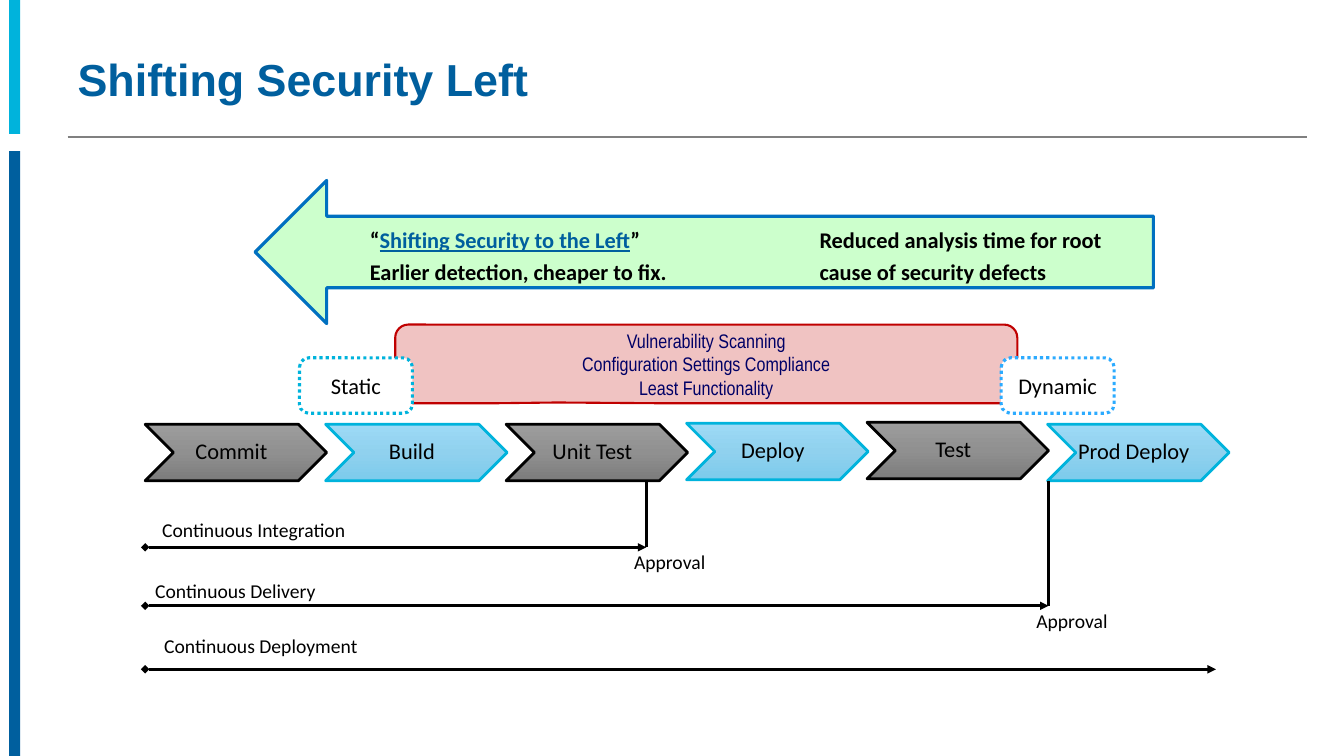
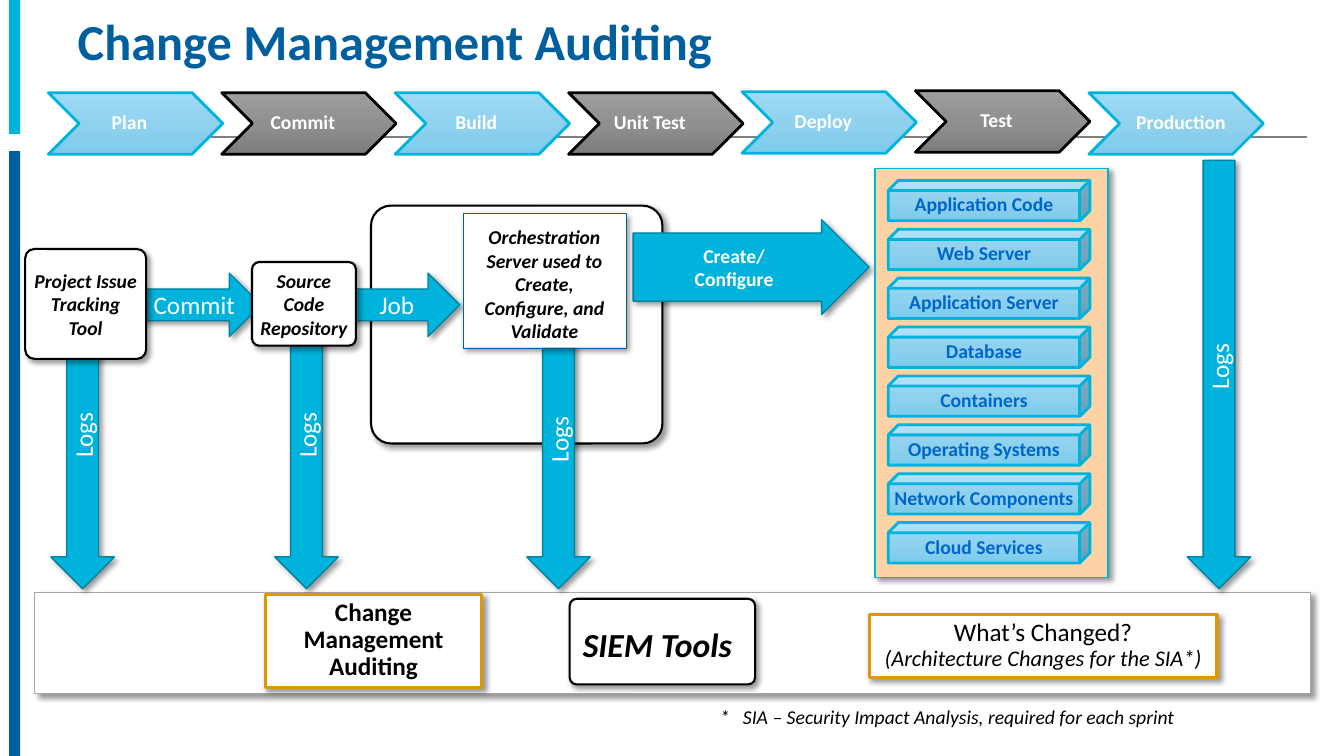
import copy
from dataclasses import dataclass, replace
from typing import Optional

from lxml import etree
import pptx
import pptx.dml.color
import pptx.enum.dml
import pptx.enum.shapes
import pptx.enum.text
import pptx.oxml.ns
import pptx.shapes.autoshape
import pptx.shapes.connector
import pptx.slide
import pptx.text.text
import pptx.util

Inches = pptx.util.Inches
qn = pptx.oxml.ns.qn
Kind = pptx.enum.shapes.MSO_SHAPE
Align = pptx.enum.text.PP_ALIGN
Anchor = pptx.enum.text.MSO_ANCHOR
Bounds = tuple[float, float, float, float]


# Theme
@dataclass(frozen=True)
class Theme:
    cyan: str = "00B3DC"
    cyan_edge: str = "0084A3"
    navy: str = "005F9E"
    black: str = "000000"
    white: str = "FFFFFF"
    rule: str = "808080"
    gold: str = "E29700"
    component: str = "0066CC"
    scan_text: str = "000066"
    grey_fade: tuple[str, ...] = ("9D9D9D", "909090", "7C7C7C")
    blue_fade: tuple[str, ...] = ("9DDAF6", "90D1EE", "7CCBEC")
    small: int = 14
    medium: int = 16
    large: int = 18
    siem: int = 24
    title: int = 32
    title_large: int = 36
    body_font: str = "Calibri"
    title_font: str = "Arial"
    narrow_font: str = "Arial Narrow"


THEME = Theme()


@dataclass(frozen=True)
class Look:
    fill: str | tuple[str, ...]
    line: Optional[str] = None
    width: float = 1
    shadow: bool = False
    dotted: bool = False
    adjustments: tuple[float, ...] = ()


@dataclass(frozen=True)
class TextStyle:
    size: int = THEME.small
    color: str = THEME.black
    bold: bool = False
    italic: bool = False
    underline: bool = False
    font: str = THEME.body_font
    align: Align = Align.CENTER
    anchor: Anchor = Anchor.MIDDLE
    insets: Bounds = (0.1, 0.05, 0.1, 0.05)
    spacing: float = 1


@dataclass(frozen=True)
class Track:
    label: str
    level: float
    end: float
    label_left: float
    label_top: float
    approval: bool


@dataclass(frozen=True)
class Block:
    text: str
    kind: Kind
    at: Bounds
    look: Look
    style: TextStyle


GREY_STEP = Look(THEME.grey_fade, THEME.black, 2)
BLUE_STEP = Look(THEME.blue_fade, THEME.cyan, 2)
FLOW = Look(THEME.cyan, THEME.cyan_edge, shadow=True)
TOOL = Look(THEME.white, THEME.black, 1.5, shadow=True, adjustments=(0.084,))
RESULT = Look(THEME.white, THEME.gold, 2.25, shadow=True)
CAPTION = TextStyle(align=Align.LEFT, anchor=Anchor.TOP)
FLOW_TEXT = TextStyle(THEME.large, THEME.white)
TOOL_TEXT = TextStyle(bold=True, italic=True, insets=(0.05, 0, 0.05, 0))
RESULT_TEXT = TextStyle(THEME.large, anchor=Anchor.TOP, spacing=0.9)

GREY_STAGES = {"Commit", "Unit Test", "Test"}
STAGE_LIFT = {"Deploy": 0.01, "Test": 0.02}


# Drawing helpers
def rgb(value: str) -> pptx.dml.color.RGBColor:
    return pptx.dml.color.RGBColor.from_string(value)


def style_run(run: pptx.text.text._Run, style: TextStyle) -> None:
    run.font.name = style.font
    run.font.size = pptx.util.Pt(style.size)
    run.font.bold = style.bold
    run.font.italic = style.italic
    run.font.underline = style.underline
    run.font.color.rgb = rgb(style.color)


def write(frame: pptx.text.text.TextFrame, text: str, style: TextStyle) -> None:
    frame.text = text
    frame.word_wrap = True
    frame.vertical_anchor = style.anchor
    (frame.margin_left, frame.margin_top,
     frame.margin_right, frame.margin_bottom) = map(Inches, style.insets)
    for paragraph in frame.paragraphs:
        paragraph.alignment = style.align
        paragraph.line_spacing = style.spacing
        for run in paragraph.runs:
            style_run(run, style)


def fade(shape: pptx.shapes.autoshape.Shape, colors: tuple[str, ...]) -> None:
    shape.fill.gradient()
    shape.fill.gradient_angle = 270
    stops = shape.element.find(".//" + qn("a:gsLst"))
    stops.insert(1, copy.deepcopy(stops[0]))
    for stop, color, position in zip(shape.fill.gradient_stops, colors, (0, 0.5, 1)):
        stop.color.rgb = rgb(color)
        stop.position = position


def cast_shadow(shape: pptx.shapes.autoshape.Shape) -> None:
    effects = shape.element.find(".//" + qn("a:effectLst"))
    outer = etree.SubElement(effects, qn("a:outerShdw"), blurRad=str(pptx.util.Pt(4)),
                             dist=str(pptx.util.Pt(3)), dir="2700000", rotWithShape="0")
    tone = etree.SubElement(outer, qn("a:srgbClr"), val=THEME.black)
    etree.SubElement(tone, qn("a:alpha"), val="40000")


def add_block(slide: pptx.slide.Slide, kind: Kind, at: Bounds, look: Look,
              text: str = "", style: TextStyle = TextStyle()) -> pptx.shapes.autoshape.Shape:
    shape = slide.shapes.add_shape(kind, *map(Inches, at))
    for index, value in enumerate(look.adjustments):
        shape.adjustments[index] = value
    if isinstance(look.fill, tuple):
        fade(shape, look.fill)
    else:
        shape.fill.solid()
        shape.fill.fore_color.rgb = rgb(look.fill)
    if look.line:
        shape.line.color.rgb = rgb(look.line)
        shape.line.width = pptx.util.Pt(look.width)
        if look.dotted:
            shape.line.dash_style = pptx.enum.dml.MSO_LINE.ROUND_DOT
    else:
        shape.line.fill.background()
    shape.shadow.inherit = False
    if look.shadow:
        cast_shadow(shape)
    if text:
        write(shape.text_frame, text, style)
    return shape


def add_caption(slide: pptx.slide.Slide, at: Bounds, text: str,
                style: TextStyle = CAPTION) -> pptx.shapes.autoshape.Shape:
    caption = slide.shapes.add_textbox(*map(Inches, at))
    write(caption.text_frame, text, style)
    return caption


def add_line(slide: pptx.slide.Slide, start: tuple[float, float], end: tuple[float, float],
             color: str = THEME.black, width: float = 2,
             arrow: bool = False) -> pptx.shapes.connector.Connector:
    line = slide.shapes.add_connector(pptx.enum.shapes.MSO_CONNECTOR.STRAIGHT,
                                      *map(Inches, start + end))
    line.line.color.rgb = rgb(color)
    line.line.width = pptx.util.Pt(width)
    if arrow:
        outline = line.element.find(".//" + qn("a:ln"))
        etree.SubElement(outline, qn("a:headEnd"), type="diamond")
        etree.SubElement(outline, qn("a:tailEnd"), type="triangle")
    etree.SubElement(line.element.find(qn("p:spPr")), qn("a:effectLst"))
    return line


def add_stages(slide: pptx.slide.Slide, labels: list[str], left: float, step: float, top: float,
               size: tuple[float, float], style: TextStyle) -> None:
    for index, label in enumerate(labels):
        at = (left + index * step, top - STAGE_LIFT.get(label, 0), *size)
        look = GREY_STEP if label in GREY_STAGES else BLUE_STEP
        insets = (0.1, 0.1, 0, 0.1) if label == "Production" else style.insets
        add_block(slide, Kind.CHEVRON, at, look, label, replace(style, insets=insets))


# Shared frame: side bands and title rule live on the layout
def furnish_layout(layout: pptx.slide.SlideLayout, slide: pptx.slide.Slide) -> None:
    frame = [
        add_block(slide, Kind.RECTANGLE, (0.09, 0, 0.11, 1.33), Look(THEME.cyan)),
        add_block(slide, Kind.RECTANGLE, (0.09, 1.5, 0.11, 6), Look(THEME.navy)),
        add_line(slide, (0.67, 1.36), (12.96, 1.36), THEME.rule, 1),
    ]
    for part in frame:
        layout.shapes.element.append(part.element)


def set_title(slide: pptx.slide.Slide, text: str, top: float, size: int, font: str) -> None:
    title = slide.shapes.title
    title.left, title.top, title.width, title.height = map(Inches, (0.67, top, 12.29, 0.82))
    write(title.text_frame, text, TextStyle(size, THEME.navy, bold=True, font=font,
                                            align=Align.LEFT, spacing=0.9))


# Slide 1
def build_shift_left(slide: pptx.slide.Slide) -> None:
    set_title(slide, "Shifting Security Left", 0.4, THEME.title, THEME.title_font)
    add_block(slide, Kind.LEFT_ARROW, (2.53, 1.79, 8.91, 1.42), Look("CCFFCC", "0070C0", 2.25))
    add_block(slide, Kind.ROUNDED_RECTANGULAR_CALLOUT, (3.92, 3.22, 6.17, 0.78),
              Look("F0C3C2", "C00000", 1.5, adjustments=(-0.24, 0.491, 0.167)),
              "Vulnerability Scanning\nConfiguration Settings Compliance\nLeast Functionality",
              TextStyle(color=THEME.scan_text, font=THEME.narrow_font, insets=(0.07, 0, 0.07, 0)))
    add_stages(slide, ["Commit", "Build", "Unit Test", "Deploy", "Test", "Prod Deploy"],
               1.44, 1.79, 4.21, (1.8, 0.56),
               TextStyle(THEME.medium, insets=(0, 0.07, 0.09, 0.07), spacing=0.9))

    # Continuous practices and their approval gates
    for track in (
        Track("Continuous Integration", 5.43, 6.41, 1.51, 5.09, True),
        Track("Continuous Delivery", 6.01, 10.4, 1.44, 5.69, True),
        Track("Continuous Deployment", 6.64, 12.06, 1.53, 6.24, False),
    ):
        add_line(slide, (1.44, track.level), (track.end, track.level), arrow=True)
        add_caption(slide, (track.label_left, track.label_top, 2.5, 0.34), track.label)
        if track.approval:
            add_line(slide, (track.end, track.level), (track.end, 4.77))
            add_caption(slide, (track.end - 0.22, track.level - 0.02, 1.13, 0.34), "Approval")

    # Benefits inside the arrow
    benefit = replace(CAPTION, size=THEME.medium, bold=True, spacing=1.2)
    detection = add_caption(slide, (3.57, 2.14, 3.75, 0.73),
                            "“\nEarlier detection, cheaper to fix.", benefit)
    for words, style in (
        ("Shifting Security to the Left", replace(benefit, color=THEME.navy, underline=True)),
        ("”", benefit),
    ):
        run = detection.text_frame.paragraphs[0].add_run()
        run.text = words
        style_run(run, style)
    add_caption(slide, (8.03, 2.14, 3.4, 0.73),
                "Reduced analysis time for root cause of security defects", benefit)

    # Kinds of analysis
    for label, left, edge in (("Static", 2.97, THEME.cyan), ("Dynamic", 9.93, "2CABFF")):
        add_block(slide, Kind.ROUNDED_RECTANGLE, (left, 3.55, 1.12, 0.55),
                  Look(THEME.white, edge, 2.25, dotted=True), label, TextStyle(THEME.medium))


# Slide 2
def build_auditing(slide: pptx.slide.Slide) -> None:
    set_title(slide, "Change Management Auditing", 0.03, THEME.title_large, THEME.body_font)
    add_block(slide, Kind.ROUNDED_RECTANGLE, (3.68, 2.04, 2.89, 2.36), TOOL)
    add_block(slide, Kind.RECTANGLE, (0.34, 5.88, 12.66, 1),
              Look(THEME.white, "A6A6A6", 0.75, shadow=True))

    # Log flows down to the audit band
    thickness, bottom = 0.63, 5.84
    for center, length in ((0.82, 2.89), (3.04, 2.89), (5.54, 2.8), (12.09, 4.25)):
        at = (center - length / 2, bottom - (length + thickness) / 2, length, thickness)
        logs = add_block(slide, Kind.RIGHT_ARROW, at, FLOW, "Logs", FLOW_TEXT)
        logs.rotation = 270
        logs.element.find(".//" + qn("a:xfrm")).set("flipH", "1")

    add_stages(slide, ["Plan", "Commit", "Build", "Unit Test", "Deploy", "Test", "Production"],
               0.48, 1.72, 0.92, (1.73, 0.61),
               TextStyle(color=THEME.white, bold=True, insets=(0, 0.1, 0.12, 0.1), spacing=0.9))

    # Tool chain and audit results
    box, rounded, arrow = Kind.RECTANGLE, Kind.ROUNDED_RECTANGLE, Kind.RIGHT_ARROW
    for block in (
        Block("Commit", arrow, (1.42, 2.71, 1.17, 0.63), FLOW, FLOW_TEXT),
        Block("Job", arrow, (3.47, 2.71, 1.09, 0.63), FLOW, FLOW_TEXT),
        Block("Create/\vConfigure", arrow, (6.28, 2.18, 2.34, 0.94),
              replace(FLOW, adjustments=(0.719, 0.5)), TextStyle(color=THEME.white, bold=True)),
        Block("Project Issue Tracking Tool", rounded, (0.25, 2.47, 1.2, 1.09), TOOL, TOOL_TEXT),
        Block("Source Code Repository", rounded, (2.5, 2.6, 1.03, 0.83), TOOL, TOOL_TEXT),
        Block("Orchestration Server used to Create, Configure, and Validate", box,
              (4.59, 2.12, 1.62, 1.33), Look(THEME.white, THEME.navy, 0.25, shadow=True),
              TextStyle(bold=True, italic=True, anchor=Anchor.BOTTOM)),
        Block("Change Management Auditing", box, (2.63, 5.9, 2.15, 0.92), RESULT,
              replace(RESULT_TEXT, bold=True)),
        Block("SIEM Tools", rounded, (5.65, 5.94, 1.84, 0.85), TOOL,
              replace(TOOL_TEXT, size=THEME.siem, insets=(0, 0.05, 0.1, 0))),
    ):
        add_block(slide, block.kind, block.at, block.look, block.text, block.style)
    changes = add_block(slide, box, (8.62, 6.1, 3.45, 0.62), RESULT,
                        "What’s Changed?\n(Architecture Changes for the SIA*)", RESULT_TEXT)
    style_run(changes.text_frame.paragraphs[1].runs[0],
              replace(RESULT_TEXT, size=THEME.medium, italic=True))

    # Configured components
    add_block(slide, box, (8.68, 1.67, 2.31, 4.06), Look("FCD3A5", THEME.cyan, shadow=True))
    component_text = TextStyle(color=THEME.component, bold=True, insets=(0, 0.1, 0, 0.1),
                               spacing=0.9)
    for index, component in enumerate((
        "Application Code", "Web Server", "Application Server", "Database", "Containers",
        "Operating Systems", "Network Components", "Cloud Services",
    )):
        add_block(slide, Kind.CUBE, (8.81, 1.79 + 0.485 * index, 2, 0.4), BLUE_STEP,
                  component, component_text)

    # Footnote with a hanging asterisk
    footnote = add_caption(slide, (7.04, 6.94, 4.91, 0.34),
                           "*\tSIA – Security Impact Analysis, required for each sprint",
                           replace(CAPTION, italic=True))
    hanging = footnote.element.find(".//" + qn("a:pPr"))
    hanging.set("marL", str(Inches(0.23)))
    hanging.set("indent", str(-Inches(0.23)))


def main() -> None:
    deck = pptx.Presentation()
    deck.slide_width, deck.slide_height = Inches(13.33), Inches(7.5)
    title_only = deck.slide_layouts[5]
    shift_left, auditing = (deck.slides.add_slide(title_only) for _ in range(2))
    furnish_layout(title_only, shift_left)
    build_shift_left(shift_left)
    build_auditing(auditing)
    deck.save("out.pptx")


if __name__ == "__main__":
    main()
